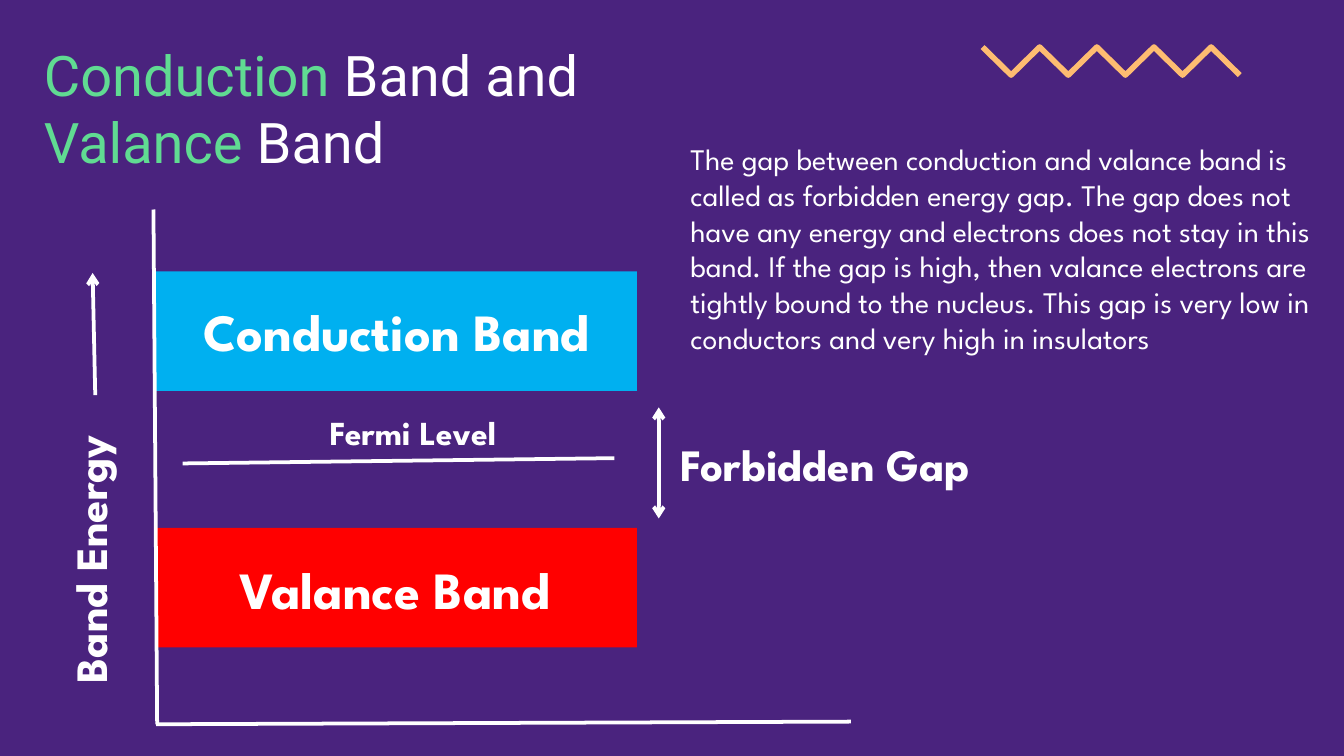
from pptx import Presentation
from pptx.dml.color import RGBColor as RGB
from pptx.enum.shapes import MSO_CONNECTOR as LINK, MSO_SHAPE as FORM
from pptx.enum.text import MSO_ANCHOR as ANCHOR, PP_ALIGN as ALIGN
from pptx.oxml.ns import qn
from pptx.util import Cm, Pt
from lxml.etree import SubElement

PURPLE = RGB(0x4A, 0x23, 0x7E)
GREEN = RGB(0x60, 0xDB, 0x92)
ORANGE = RGB(0xFE, 0xBC, 0x71)
BLUE = RGB(0x00, 0xB0, 0xF0)
RED = RGB(0xFF, 0x00, 0x00)
WHITE = RGB(0xFF, 0xFF, 0xFF)
INSET = Cm(0.25)
FRAME = {"word_wrap": True, "vertical_anchor": ANCHOR.TOP,
         "margin_left": INSET, "margin_right": INSET,
         "margin_top": INSET, "margin_bottom": INSET}


def style(item, form):
    for key, value in form.items():
        setattr(item, key, value)


def link(start, end, *tips):
    line = shapes.add_connector(LINK.STRAIGHT, *map(Cm, start + end))
    line.line.color.rgb = WHITE
    line.line.width = Pt(2)
    edge = line.line._get_or_add_ln()
    for tip in tips:
        SubElement(edge, qn("a:" + tip), type="arrow")
    SubElement(line._element.spPr, qn("a:effectLst"))
    return line


deck = Presentation()
style(deck, {"slide_width": Cm(25.4), "slide_height": Cm(14.29)})
slide = deck.slides.add_slide(deck.slide_layouts[5])
shapes = slide.shapes
slide.background.fill.solid()
slide.background.fill.fore_color.rgb = PURPLE

title = shapes.title
style(title, {"left": Cm(0.58), "top": Cm(0.51),
              "width": Cm(11.4), "height": Cm(2.95)})
style(title.text_frame, FRAME)
para = title.text_frame.paragraphs[0]
para.alignment = ALIGN.LEFT
for text, color in (("Conduction ", GREEN), ("Band and ", WHITE),
                    ("\n", WHITE), ("Valance ", GREEN), ("Band", WHITE)):
    if text == "\n":
        para.add_line_break()
        continue
    run = para.add_run()
    run.text = text
    style(run.font, {"name": "Roboto", "size": Pt(30)})
    run.font.color.rgb = color

for top, color in ((9.98, RED), (5.13, BLUE)):
    band = shapes.add_shape(FORM.RECTANGLE, Cm(2.95), Cm(top), Cm(9.09), Cm(2.26))
    band.shadow.inherit = False
    band.fill.solid()
    band.fill.fore_color.rgb = color
    band.line.fill.background()

peaks = [(Cm(18.57 + 0.54 * i), Cm(1.42 if i % 2 else 0.89)) for i in range(10)]
pen = shapes.build_freeform(*peaks[0])
pen.add_line_segments(peaks[1:], close=False)
zigzag = pen.convert_to_shape()
zigzag.shadow.inherit = False
zigzag.fill.background()
zigzag.line.color.rgb = ORANGE
zigzag.line.width = Pt(3)

axes = [link((2.9, 3.96), (2.97, 13.69)), link((2.95, 13.69), (16.08, 13.64))]
shapes.add_group_shape(axes)
link((1.8, 7.47), (1.75, 5.16), "tailEnd")
link((3.45, 8.76), (11.61, 8.66))
link((12.45, 9.8), (12.45, 7.7), "headEnd", "tailEnd")

note = ("The gap between conduction and valance band is called as forbidden "
        "energy gap. The gap does not have any energy and electrons does not "
        "stay in this band. If the gap is high, then valance electrons are "
        "tightly bound to the nucleus. This gap is very low in conductors and "
        "very high in insulators")
labels = (
    ("Conduction Band", (3.28, 5.41, 8.43, 1.65), 28, True, ALIGN.CENTER, 0),
    ("Valance Band", (3.25, 10.29, 8.43, 1.65), 28, True, ALIGN.CENTER, 0),
    ("Band Energy", (-1.04, 9.53, 5.61, 1.65), 24, True, ALIGN.LEFT, 270),
    ("Forbidden Gap", (11.38, 8, 8.43, 1.65), 24, True, ALIGN.CENTER, 0),
    ("Fermi Level", (5.72, 7.54, 4.17, 1.22), 18, True, ALIGN.CENTER, 0),
    (note, (12.8, 2.41, 12.6, 4.93), 16, False, ALIGN.LEFT, 0),
)
for text, place, size, bold, align, turn in labels:
    box = shapes.add_textbox(*map(Cm, place))
    box.rotation = turn
    style(box.text_frame, FRAME)
    para = box.text_frame.paragraphs[0]
    style(para, {"text": text, "alignment": align, "space_after": Pt(12)})
    font = para.runs[0].font
    style(font, {"name": "League Spartan", "size": Pt(size), "bold": bold})
    font.color.rgb = WHITE

deck.save("out.pptx")
